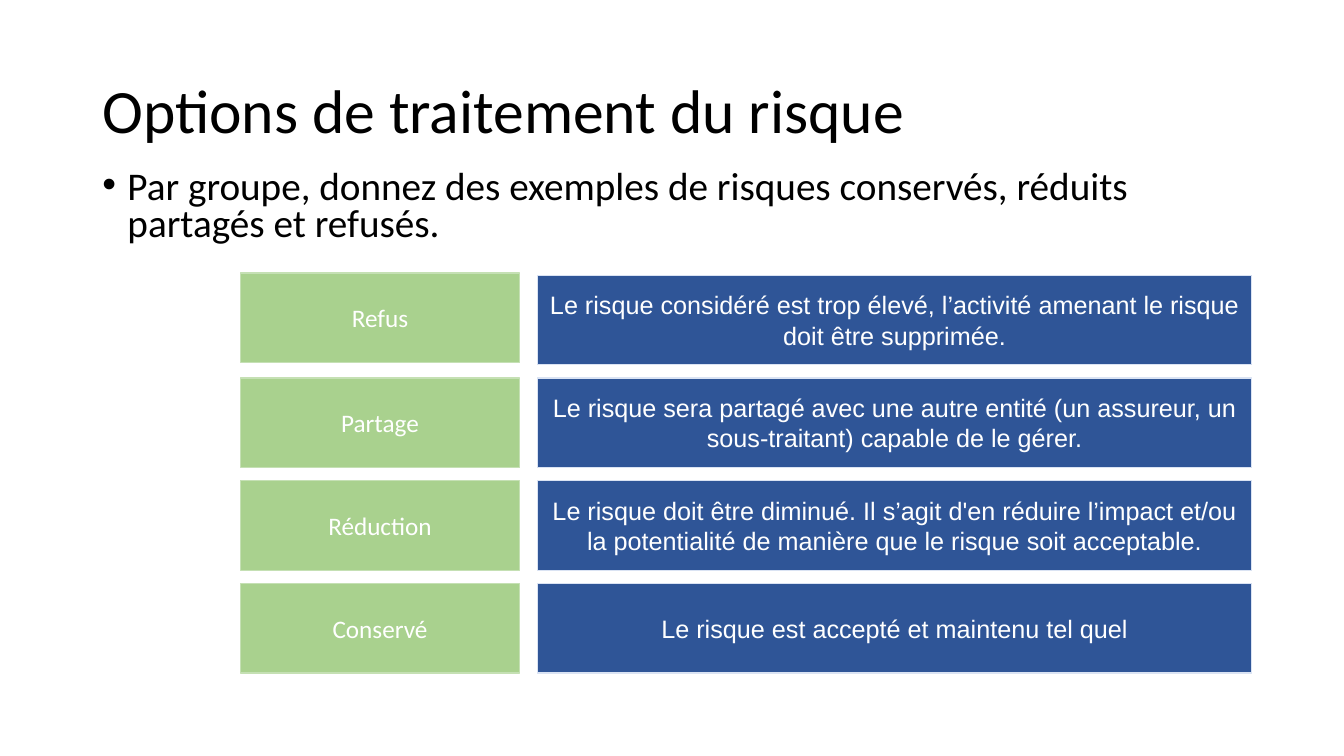
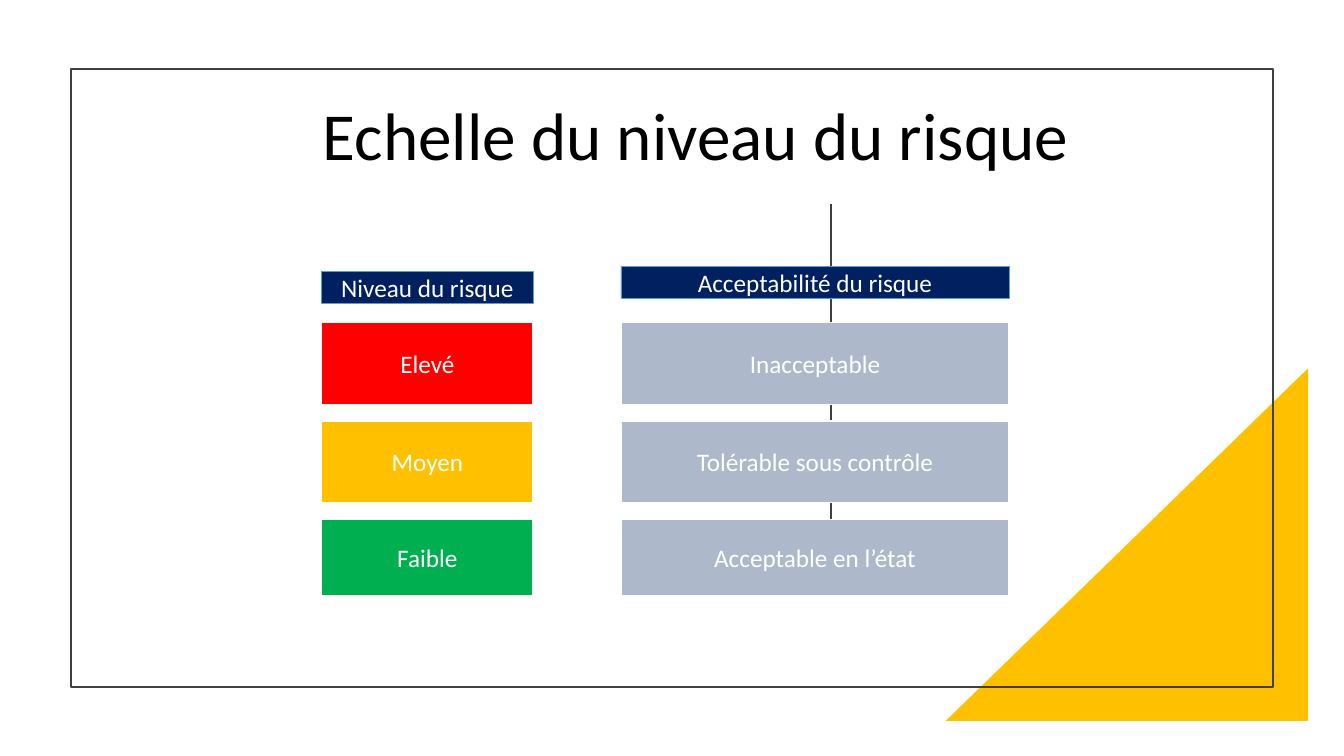
from lxml.etree import SubElement
from pptx import Presentation
from pptx.dml.color import RGBColor
from pptx.enum.shapes import MSO_CONNECTOR, MSO_SHAPE
from pptx.enum.text import MSO_ANCHOR, PP_ALIGN
from pptx.oxml.ns import qn
from pptx.util import Pt

COLOURS = {
    "text": "000000",
    "white": "FFFFFF",
    "frame": "404040",
    "option": "A9D18E",
    "option_edge": "C5E0B4",
    "meaning": "2F5597",
    "meaning_edge": "DAE3F3",
    "header": "002060",
    "header_edge": "5B9BD5",
    "high": "FF0000",
    "amber": "FFC000",
    "low": "00B050",
    "acceptance": "ADB9CA",
}


def colour(name):
    return RGBColor.from_string(COLOURS[name])


class SlideBuilder:
    """Holds the deck style and the slide being drawn; lengths are in points."""

    font = "Calibri"
    label_size = 18

    def __init__(self):
        self.deck = Presentation()
        self.deck.slide_width, self.deck.slide_height = Pt(960), Pt(540)
        self.page = None

    def new_page(self):
        self.page = self.deck.slides.add_slide(self.deck.slide_layouts[6])

    def add_span(self, para, text, size, tint, font=None):
        span = para.add_run()
        span.text = text
        span.font.name = font or self.font
        span.font.size = Pt(size)
        span.font.color.rgb = colour(tint)

    def text_box(self, area, anchor):
        """Add a wrapping text box and return its first paragraph."""
        frame = self.page.shapes.add_textbox(*map(Pt, area)).text_frame
        frame.word_wrap = True
        frame.vertical_anchor = anchor
        return frame.paragraphs[0]

    def title(self, text, area, size=44, align=PP_ALIGN.LEFT):
        para = self.text_box(area, MSO_ANCHOR.MIDDLE)
        para.alignment = align
        para.line_spacing = 0.9
        self.add_span(para, text, size, "text")

    def bullet(self, text, area):
        para = self.text_box(area, MSO_ANCHOR.TOP)
        para.line_spacing = 0.8
        properties = para._p.get_or_add_pPr()
        properties.set("marL", str(Pt(18)))
        properties.set("indent", str(-Pt(18)))
        SubElement(properties, qn("a:buFont"), typeface="Arial")
        SubElement(properties, qn("a:buChar"), char="•")
        self.add_span(para, text, 28, "text")

    def shape(self, kind, area, fill=None, edge=None, edge_width=1):
        shape = self.page.shapes.add_shape(kind, *map(Pt, area))
        shape.shadow.inherit = False
        if fill:
            shape.fill.solid()
            shape.fill.fore_color.rgb = colour(fill)
        else:
            shape.fill.background()
        if edge:
            shape.line.color.rgb = colour(edge)
            shape.line.width = Pt(edge_width)
        else:
            shape.line.fill.background()
        return shape

    def label(self, text, area, fill, edge="white", edge_width=1, font=None):
        box = self.shape(MSO_SHAPE.RECTANGLE, area, fill, edge, edge_width)
        frame = box.text_frame
        frame.word_wrap = True
        frame.vertical_anchor = MSO_ANCHOR.MIDDLE
        para = frame.paragraphs[0]
        para.alignment = PP_ALIGN.CENTER
        self.add_span(para, text, self.label_size, "white", font)

    def corner_triangle(self, area, fill):
        """Add a right triangle whose square corner is at the lower right."""
        triangle = self.shape(MSO_SHAPE.RIGHT_TRIANGLE, area, fill)
        triangle._element.spPr.xfrm.set("flipH", "1")

    def vertical_line(self, x, top, bottom):
        line = self.page.shapes.add_connector(
            MSO_CONNECTOR.STRAIGHT, Pt(x), Pt(top), Pt(x), Pt(bottom))
        line.line.color.rgb = colour("frame")
        line.line.width = Pt(1.5)
        SubElement(line._element.spPr, qn("a:effectLst"))


def treatment_options(builder):
    builder.new_page()
    builder.title("Options de traitement du risque", (66, 29, 828, 104))
    builder.bullet("Par groupe, donnez des exemples de risques conservés, réduits "
                   "partagés et refusés.", (66, 118, 828, 64))
    options = [
        ("Refus", "Le risque considéré est trop élevé, l’activité amenant le risque "
                  "doit être supprimée."),
        ("Partage", "Le risque sera partagé avec une autre entité (un assureur, un "
                    "sous-traitant) capable de le gérer."),
        ("Réduction", "Le risque doit être diminué. Il s’agit d'en réduire l’impact et/ou "
                      "la potentialité de manière que le risque soit acceptable."),
        ("Conservé", "Le risque est accepté et maintenu tel quel"),
    ]
    top, pitch, height = 196.6, 73.4, 64
    for row, (option, meaning) in enumerate(options):
        y = top + row * pitch
        option_y = y if row else y - 1.5
        builder.label(option, (172, option_y, 199, height), "option", "option_edge")
        builder.label(meaning, (384, y, 510, height), "meaning", "meaning_edge",
                      font="Arial")


def risk_scale(builder):
    builder.new_page()
    builder.corner_triangle((675.5, 263, 259, 252), "amber")
    builder.shape(MSO_SHAPE.RECTANGLE, (50.5, 49, 859, 441.5), edge="frame", edge_width=1.5)
    builder.title("Echelle du niveau du risque", (80.5, 67, 690, 64), 48, PP_ALIGN.RIGHT)
    builder.vertical_line(593.5, 146, 401)

    level_column, acceptance_column = (229.7, 151.2), (443.5, 277.2)
    headers = [("Niveau du risque", level_column, 193.7),
               ("Acceptabilité du risque", acceptance_column, 190)]
    for text, (x, width), y in headers:
        builder.label(text, (x, y, width, 23), "header", "header_edge", 0.5)

    levels = [("Elevé", "high", "Inacceptable", 58.3),
              ("Moyen", "amber", "Tolérable sous contrôle", 58.3),
              ("Faible", "low", "Acceptable en l’état", 54.7)]
    top, pitch = 230.5, 70.2
    for row, (level, fill, acceptance, height) in enumerate(levels):
        y = top + row * pitch
        for text, (x, width), tint in ((level, level_column, fill),
                                       (acceptance, acceptance_column, "acceptance")):
            builder.label(text, (x, y, width, height), tint)


def main():
    builder = SlideBuilder()
    treatment_options(builder)
    risk_scale(builder)
    builder.deck.save("out.pptx")


if __name__ == "__main__":
    main()
